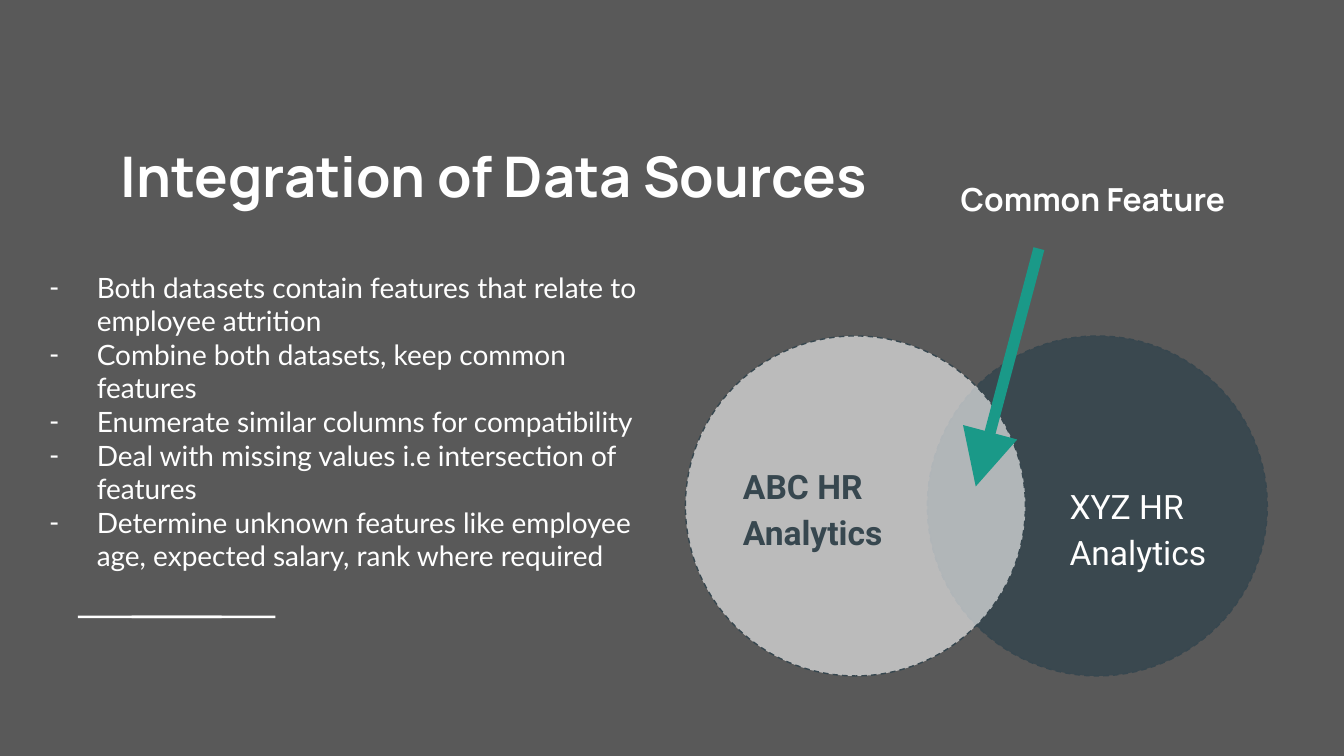
from lxml import etree
from pptx import Presentation
from pptx import util as u
from pptx.dml import color as dml
from pptx.enum import dml as lines, shapes, text
from pptx.oxml import ns

COLORS = {"page": "595959", "white": "FFFFFF", "slate": "37474F",
          "pale": "EFEFEF", "teal": "1A9988"}

TITLE = {"name": "Manrope", "size": u.Pt(30), "bold": True}
LIST = {"name": "Lato", "size": u.Pt(15), "bold": False}
LABEL = {"name": "Manrope", "size": u.Pt(17), "bold": True}
SOURCE = {"name": "Roboto", "size": u.Pt(18), "bold": False}

POINTS = [
    "Both datasets contain features that relate to employee attrition",
    "Combine both datasets, keep common features",
    "Enumerate similar columns for compatibility",
    "Deal with missing values i.e intersection of features",
    "Determine unknown features like employee age, expected salary, rank where required",
]


def rgb(name):
    """Return the named palette colour."""
    return dml.RGBColor.from_string(COLORS[name])


def add_xml(parent, tag, **attributes):
    """Append a DrawingML element with the given attributes."""
    values = {key: str(value) for key, value in attributes.items()}
    return etree.SubElement(parent, ns.qn(tag), values)


def place(shape, box):
    """Move and size a shape to a left, top, width, height box in inches."""
    for name, value in zip(("left", "top", "width", "height"), box):
        setattr(shape, name, u.Inches(value))


def format_font(font, style, color):
    """Apply a text style and a palette colour to a font."""
    for name, value in style.items():
        setattr(font, name, value)
    font.color.rgb = rgb(color)


def set_frame(frame, anchor):
    """Give a text frame wrapping, equal margins and an anchor."""
    margins = {f"margin_{side}": u.Inches(0.1) for side in ("left", "top", "right", "bottom")}
    settings = {"word_wrap": True, "auto_size": text.MSO_AUTO_SIZE.NONE,
                "vertical_anchor": anchor, **margins}
    for name, value in settings.items():
        setattr(frame, name, value)


def add_label(page, box, words, style, color, spacing=1.0):
    """Add a vertically centred text box."""
    frame = page.shapes.add_textbox(*map(u.Inches, box)).text_frame
    set_frame(frame, text.MSO_ANCHOR.MIDDLE)
    para = frame.paragraphs[0]
    para.text = words
    para.line_spacing = spacing
    format_font(para.font, style, color)


def add_solid(page, kind, box, color):
    """Add a flat filled preset shape."""
    shape = page.shapes.add_shape(kind, *map(u.Inches, box))
    shape.shadow.inherit = False
    shape.fill.solid()
    shape.fill.fore_color.rgb = rgb(color)
    return shape


def add_accent(page, box):
    """Draw the accent rule as two overlapping bars spanning the box."""
    left, top, width, height = box
    bar = 1.07
    for start in (left + width - bar, left):
        add_solid(page, shapes.MSO_SHAPE.RECTANGLE, (start, top, bar, height),
                  "white").line.fill.background()


def fill_title(page, box):
    """Place and format the title."""
    title = page.shapes.title
    place(title, box)
    set_frame(title.text_frame, text.MSO_ANCHOR.TOP)
    para = title.text_frame.paragraphs[0]
    para.text = "Integration of Data Sources"
    para.alignment = text.PP_ALIGN.LEFT
    format_font(para.font, TITLE, "white")


def fill_list(page, box):
    """Place the body and fill it with dashed points."""
    body = page.placeholders[1]
    place(body, box)
    frame = body.text_frame
    set_frame(frame, text.MSO_ANCHOR.TOP)
    frame.text = "\n".join(POINTS)
    for para in frame.paragraphs:
        para.space_before = u.Pt(0)
        properties = para._p.get_or_add_pPr()
        properties.set("marL", str(u.Inches(0.5)))
        properties.set("indent", str(u.Inches(-0.35)))
        add_xml(add_xml(properties, "a:buClr"), "a:srgbClr", val=COLORS["white"])
        add_xml(properties, "a:buChar", char="-")
        format_font(para.font, LIST, "white")


def add_circle(page, box, color, opacity):
    """Add a translucent circle with a dashed outline."""
    circle = add_solid(page, shapes.MSO_SHAPE.OVAL, box, color)
    add_xml(circle.fill._xPr.find(".//" + ns.qn("a:srgbClr")), "a:alpha", val=opacity * 1000)
    circle.line.color.rgb = rgb("slate")
    circle.line.width = u.Pt(0.75)
    circle.line.dash_style = lines.MSO_LINE.DASH


def add_arrow(page, tip, tail):
    """Add a thick arrow whose large head is at the tip."""
    arrow = page.shapes.add_connector(shapes.MSO_CONNECTOR.STRAIGHT,
                                      *map(u.Inches, tip + tail))
    arrow.line.color.rgb = rgb("teal")
    arrow.line.width = u.Pt(6)
    add_xml(arrow.line._get_or_add_ln(), "a:headEnd", type="triangle", w="lg", len="lg")
    add_xml(arrow._element.spPr, "a:effectLst")


def add_venn(page, box):
    """Draw two overlapping sources and point out what they share."""
    left, top, width, height = box
    size = 2.53
    circle_top = top + height - size
    add_circle(page, (left + width - size, circle_top, size, size), "slate", 91)
    add_label(page, (left + 2.76, top + 2.51, 1.47, 0.71), "XYZ HR Analytics",
              SOURCE, "white", 1.15)
    add_circle(page, (left, circle_top, size, size), "pale", 66)
    add_label(page, (left + 0.33, top + 2.36, 1.47, 0.71), "ABC HR Analytics",
              {**SOURCE, "bold": True}, "slate", 1.15)
    add_arrow(page, (left + 2.16, top + 2.57), (left + 2.63, top + 0.8))
    add_label(page, (left + 1.95, top, 2.2, 0.86), "Common Feature", LABEL, "white")


def main():
    """Build and save the deck."""
    deck = Presentation()
    deck.slide_width = u.Inches(10)
    deck.slide_height = deck.slide_width * 9 // 16
    page = deck.slides.add_slide(deck.slide_layouts[1])
    page.background.fill.solid()
    page.background.fill.fore_color.rgb = rgb("page")
    add_accent(page, (0.58, 4.58, 1.47, 0.02))
    fill_title(page, (0.8, 0.95, 7.68, 0.74))
    fill_list(page, (0.12, 1.91, 4.98, 3.04))
    add_venn(page, (5.1, 1.05, 4.33, 3.98))
    deck.save("out.pptx")


if __name__ == "__main__":
    main()
